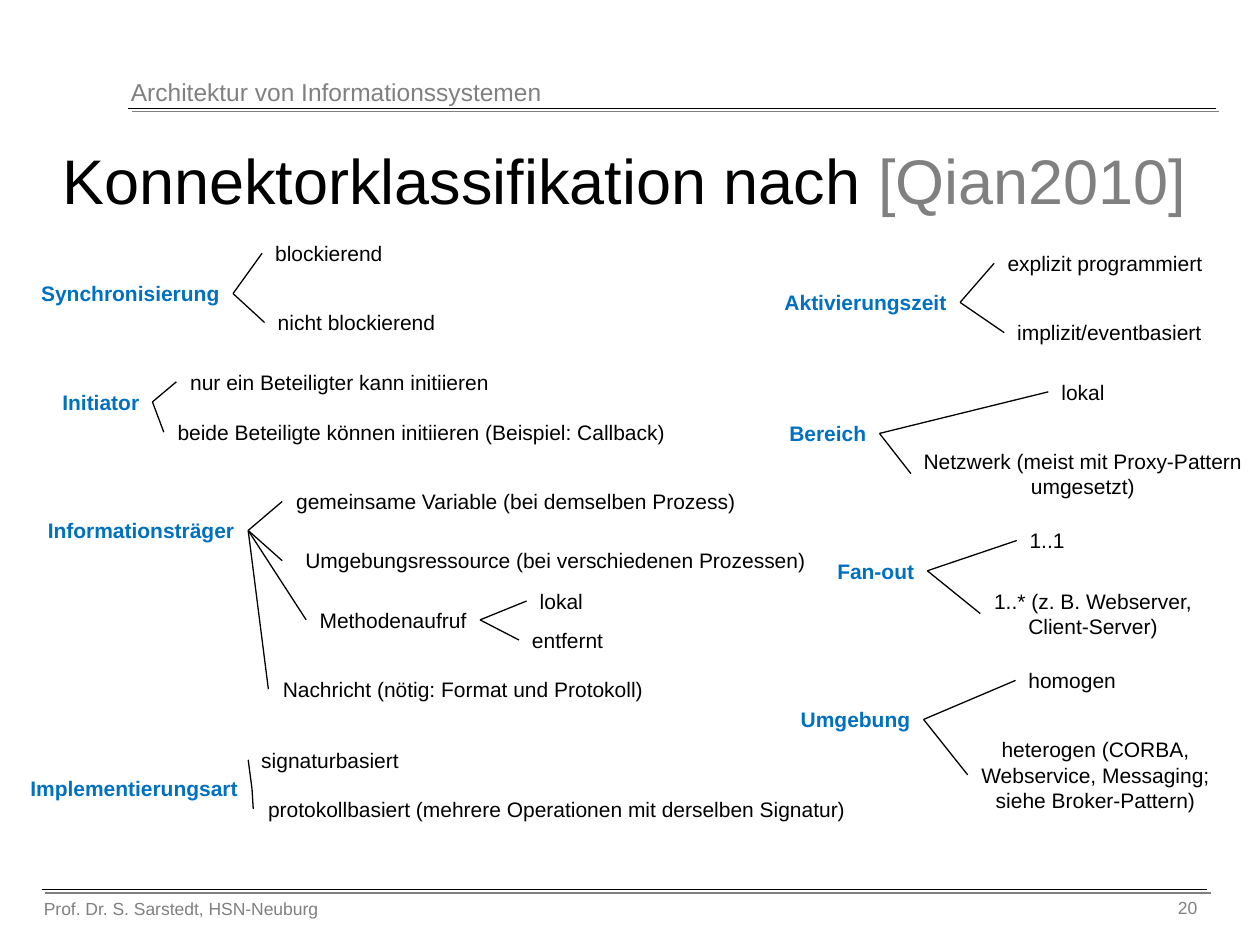
from dataclasses import dataclass

from lxml import etree
from pptx import Presentation
from pptx.dml.color import RGBColor
from pptx.enum.shapes import MSO_CONNECTOR
from pptx.enum.text import MSO_ANCHOR, MSO_AUTO_SIZE, PP_ALIGN
from pptx.oxml.ns import qn
from pptx.util import Inches, Pt

LEFT, MID, RIGHT = PP_ALIGN.LEFT, PP_ALIGN.CENTER, PP_ALIGN.RIGHT
STRAIGHT = MSO_CONNECTOR.STRAIGHT


@dataclass(frozen=True)
class Theme:
    font: str = "Arial"
    ink: str = "000000"
    gray: str = "808080"
    blue: str = "0070C0"
    title: int = 36
    head: int = 14
    body: int = 12
    foot: int = 10
    rule: float = 0.75


THEME = Theme()

TITLE = [("Konnektorklassifikation nach ", THEME.ink), ("[Qian2010]", THEME.gray)]
RULES = [(1.02, 9.65, 0.86), (0.33, 9.58, 7.06)]
FRAME = [
    ("Prof. Dr. S. Sarstedt, HSN-Neuburg", (0.25, 7.08, 4.5, 0.27), THEME.foot, LEFT),
    ("Architektur von Informationssystemen", (0.94, 0.56, 7.01, 0.34), THEME.head, LEFT),
    ("20", (8.58, 7.07, 1.02, 0.31), THEME.foot, RIGHT),
]
TREES = [
    ("Synchronisierung", 0.22, 2.18, 1.63, [
        ("blockierend", 2.08, 1.86, 1.06, []),
        ("nicht blockierend", 2.1, 2.41, 1.46, []),
    ]),
    ("Initiator", 0.39, 3.04, 0.82, [
        ("nur ein Beteiligter kann initiieren", 1.4, 2.88, 2.59, []),
        ("beide Beteiligte können initiieren (Beispiel: Callback)", 1.3, 3.28, 4.09, []),
    ]),
    ("Informationsträger", 0.27, 4.06, 1.7, [
        ("gemeinsame Variable (bei demselben Prozess)", 2.24, 3.83, 3.71, []),
        ("Umgebungsressource (bei verschiedenen Prozessen)", 2.24, 4.3, 4.34, []),
        ("Methodenaufruf", 2.43, 4.77, 1.38, [
            ("lokal", 4.18, 4.62, 0.55, []),
            ("entfernt", 4.12, 4.93, 0.77, []),
        ]),
        ("Nachricht (nötig: Format und Protokoll)", 2.13, 5.32, 3.09, []),
    ]),
    ("Implementierungsart", 0.13, 6.11, 1.87, [
        ("signaturbasiert", 1.97, 5.88, 1.3, []),
        ("protokollbasiert (mehrere Operationen mit derselben Signatur)",
         2.01, 6.27, 4.82, []),
    ]),
    ("Aktivierungszeit", 6.12, 2.25, 1.5, [
        ("explizit programmiert", 7.89, 1.94, 1.76, []),
        ("implizit/eventbasiert", 7.97, 2.49, 1.67, []),
    ]),
    ("Bereich", 6.16, 3.29, 0.82, [
        ("lokal", 8.32, 2.96, 0.55, []),
        ("Netzwerk (meist mit Proxy-Pattern\vumgesetzt)", 7.23, 3.51, 2.73, []),
    ]),
    ("Fan-out", 6.54, 4.38, 0.82, [
        ("1..1", 8.07, 4.14, 0.48, []),
        ("1..* (z. B. Webserver,\vClient-Server)", 7.78, 4.62, 1.79, []),
    ]),
    ("Umgebung", 6.25, 5.56, 1.08, [
        ("homogen", 8.06, 5.25, 0.9, []),
        ("heterogen (CORBA,\vWebservice, Messaging;\vsiehe Broker-Pattern)",
         7.68, 5.8, 2.03, []),
    ]),
]


def add_text(slide, text, box, size, color, align=MID, bold=False, wrap=True):
    shape = slide.shapes.add_textbox(*map(Inches, box))
    frame = shape.text_frame
    frame.word_wrap = wrap
    if not wrap:
        frame.auto_size = MSO_AUTO_SIZE.SHAPE_TO_FIT_TEXT
    para = frame.paragraphs[0]
    para.text = text
    para.alignment = align
    font = para.font
    font.name, font.size, font.bold = THEME.font, Pt(size), bold
    font.color.rgb = RGBColor.from_string(color)
    return frame


def add_line(slide, start, end, shadow=False):
    line = slide.shapes.add_connector(STRAIGHT, *map(Inches, (*start, *end)))
    line.line.width = Pt(THEME.rule)
    line.line.color.rgb = RGBColor.from_string(THEME.ink)
    props = line._element.spPr
    effect = etree.SubElement(props, qn("a:effectLst"))
    if shadow:
        cast = etree.SubElement(effect, qn("a:outerShdw"), dist=str(Pt(2.8)),
                                dir="2700000", algn="ctr", rotWithShape="0")
        etree.SubElement(cast, qn("a:srgbClr"), val=THEME.gray)


def add_node(slide, node, root=True):
    text, left, top, width, kids = node
    high = 0.1 + 0.2 * (1 + text.count("\v"))
    color = THEME.blue if root else THEME.ink
    add_text(slide, text, (left, top, width, high), THEME.body, color,
             bold=root, wrap=False)
    for kid in kids:
        entry = add_node(slide, kid, False)
        add_line(slide, (left + width, top + high / 2), entry)
    return left, top + high / 2


deck = Presentation()
deck.slide_width, deck.slide_height = Inches(10), Inches(7.5)
slide = deck.slides.add_slide(deck.slide_layouts[6])

for start, end, level in RULES:
    add_line(slide, (start, level), (end, level), True)
for text, box, size, align in FRAME:
    add_text(slide, text, box, size, THEME.gray, align)

title = add_text(slide, "", (0.33, 1.17, 9.25, 0.5), THEME.title, THEME.ink)
title.vertical_anchor = MSO_ANCHOR.MIDDLE
for text, color in TITLE:
    run = title.paragraphs[0].add_run()
    run.text = text
    run.font.color.rgb = RGBColor.from_string(color)

for tree in TREES:
    add_node(slide, tree)

deck.save("out.pptx")
